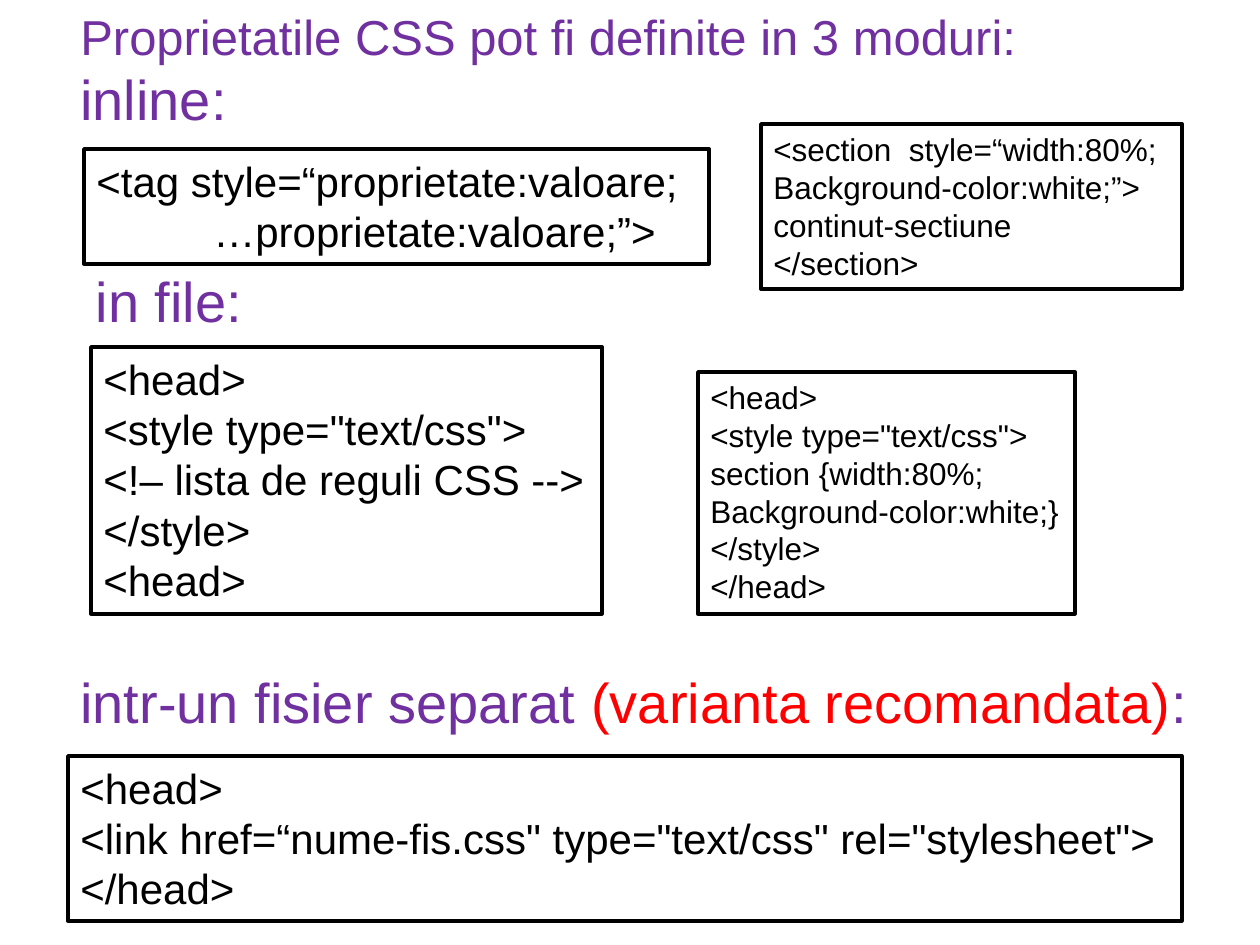
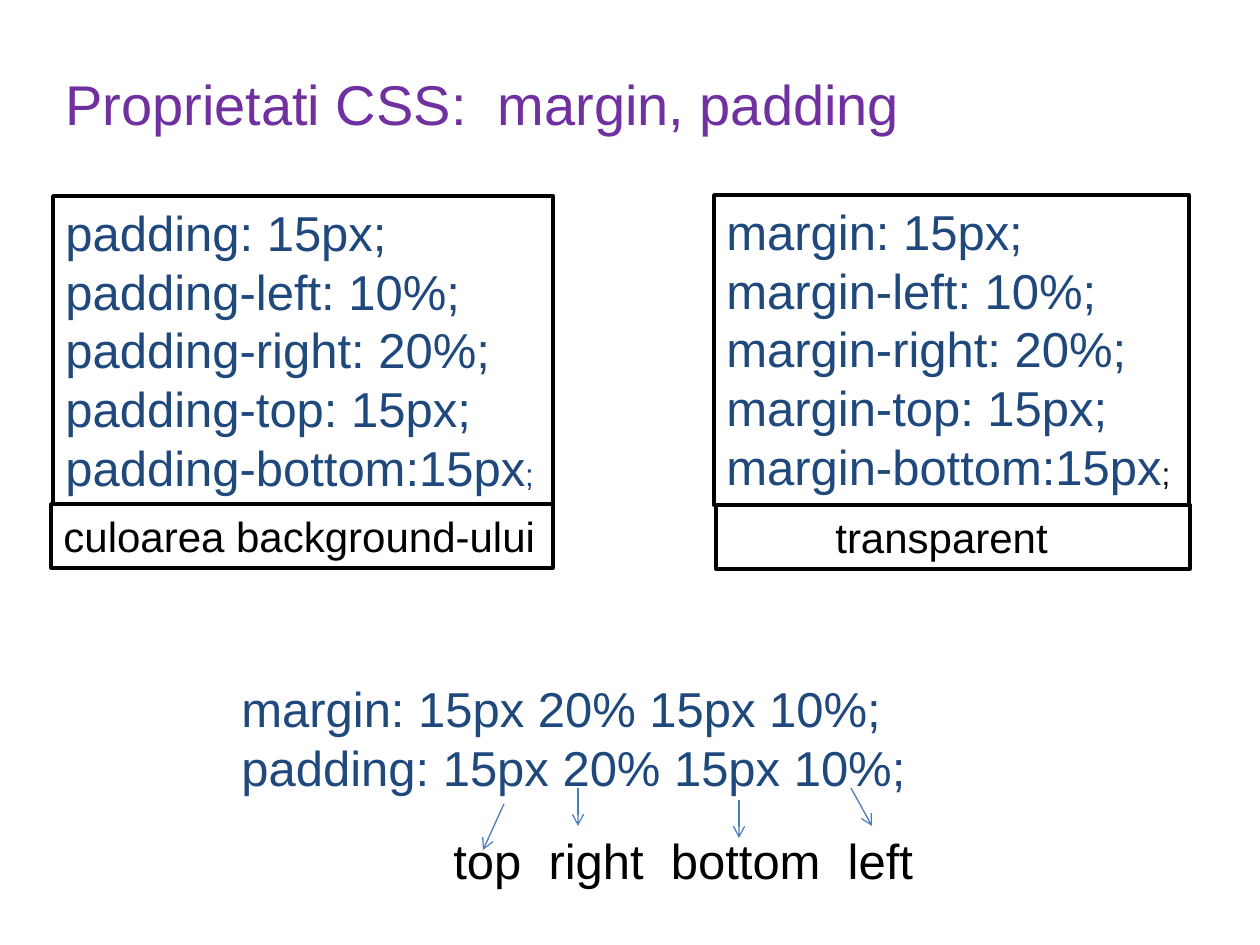
import pptx
import pptx.util
import pptx.dml.color
import pptx.enum.shapes
import pptx.enum.text
import pptx.oxml.ns
from lxml import etree

PX = 914400 // 126
FONT = "Arial"
PURPLE, BLUE, BLACK = "7030A0", "1F497D", "000000"
RED, WHITE, ARROW = "FF0000", "FFFFFF", "4B7EBC"
LINE = 1.195  # line height of the font, in ems

# Content. A line is a text, or a list of runs (text, format),
# or a dict with runs and paragraph format.
HEADS = [
    [("Proprietatile CSS pot fi definite in 3 moduri:", {"size": 28})],
    "inline:",
    {"runs": " in file:", "skip": 2},
    {"runs": [("intr-un fisier separat", {}),
              (" (varianta recomandata)", {"color": RED}),
              (":", {})], "skip": 5},
]
CODES = [  # box, size, lines
    ((91, 347, 511, 267), 24,
     ["<head>", '<style type="text/css">', "<!– lista de reguli CSS -->",
      "</style>", "<head>"]),
    ((84, 149, 625, 115), 24,
     ["<tag style=“proprietate:valoare;",
      {"runs": "…proprietate:valoare;”>", "indent": 117}]),
    ((698, 372, 377, 242), 18,
     ["<head>", '<style type="text/css">', "section {width:80%;",
      "Background-color:white;}", "</style>", "</head>"]),
    ((761, 124, 421, 165), 18,
     ["<section  style=“width:80%;", "Background-color:white;”>",
      "continut-sectiune", "</section>"]),
    ((68, 756, 1114, 165), 24,
     ["<head>",
      '<link href=“nume-fis.css" type="text/css" rel="stylesheet">',
      "</head>"]),
]
TITLE = "Proprietati CSS:  margin, padding"
SIDES = [": 15px;", "-left: 10%;", "-right: 20%;", "-top: 15px;"]
RULES = [  # property, box, end colour, note, note box, note indent
    ("margin", (714, 195, 475, 310), BLACK,
     "transparent", (716, 505, 474, 64), 107),
    ("padding", (53, 196, 500, 310), BLUE,
     "culoarea background-ului", (51, 504, 502, 64), 0),
]
SHORT = [name + ": 15px 20% 15px 10%;" for name in ("margin", "padding")]
ORDER = "top  right  bottom  left"
ARROWS = [(504, 804, 483, 850), (578, 788, 578, 826),
          (739, 800, 739, 838), (851, 788, 872, 826)]


def rgb(code):
    return pptx.dml.color.RGBColor.from_string(code)


def write(slide, box, lines, size=24, color=BLACK, frame=False):
    """Put lines of text in a box, with a black frame if asked."""
    place = [v * PX for v in box]
    if frame:
        kind = pptx.enum.shapes.MSO_SHAPE.RECTANGLE
        shape = slide.shapes.add_shape(kind, *place)
        shape.shadow.inherit = False
        shape.fill.solid()
        shape.fill.fore_color.rgb = rgb(WHITE)
        shape.line.color.rgb = rgb(BLACK)
        shape.line.width = pptx.util.Pt(2)
    else:
        shape = slide.shapes.add_textbox(*place)
    body = shape.text_frame
    body.word_wrap = True
    body.vertical_anchor = pptx.enum.text.MSO_ANCHOR.TOP
    for i, line in enumerate(lines):
        para = body.add_paragraph() if i else body.paragraphs[0]
        para.alignment = pptx.enum.text.PP_ALIGN.LEFT
        form = line if isinstance(line, dict) else {"runs": line}
        if "skip" in form:
            gap = form["skip"] * size * LINE
            para.space_before = pptx.util.Pt(round(gap, 1))
        if form.get("indent"):
            para._p.get_or_add_pPr().set("marL", str(form["indent"] * PX))
        runs = form["runs"]
        if isinstance(runs, str):
            runs = [(runs, {})]
        for text, look in runs:
            run = para.add_run()
            run.text = text
            run.font.name = FONT
            run.font.size = pptx.util.Pt(look.get("size", size))
            run.font.color.rgb = rgb(look.get("color", color))


def arrow(slide, ends):
    kind = pptx.enum.shapes.MSO_CONNECTOR.STRAIGHT
    link = slide.shapes.add_connector(kind, *[v * PX for v in ends])
    link.line.color.rgb = rgb(ARROW)
    link.line.width = pptx.util.Pt(0.75)
    qn = pptx.oxml.ns.qn
    etree.SubElement(link.line._get_or_add_ln(), qn("a:tailEnd"), type="arrow")
    etree.SubElement(link._element.spPr, qn("a:effectLst"))


deck = pptx.Presentation()
deck.slide_width = pptx.util.Inches(10)
deck.slide_height = pptx.util.Inches(7.5)
blank = deck.slide_layouts[6]

# Slide 1: three ways to define properties
page = deck.slides.add_slide(blank)
write(page, (68, 0, 1139, 745), HEADS, size=32, color=PURPLE)
for box, size, lines in CODES:
    write(page, box, lines, size=size, frame=True)

# Slide 2: margin and padding
page = deck.slides.add_slide(blank)
write(page, (53, 63, 1207, 80), [TITLE], size=32, color=PURPLE)
for name, box, end, note, under, indent in RULES:
    last = [(name + "-bottom:15px", {}), (";", {"size": 18, "color": end})]
    lines = [name + side for side in SIDES] + [last]
    write(page, box, lines, size=28, color=BLUE, frame=True)
    write(page, under, [{"runs": note, "indent": indent}], frame=True)

# Short form, with arrows to the order of the sides
write(page, (229, 672, 698, 131), SHORT, size=28, color=BLUE)
write(page, (441, 824, 490, 72), [ORDER], size=28)
for ends in ARROWS:
    arrow(page, ends)

deck.save("out.pptx")
